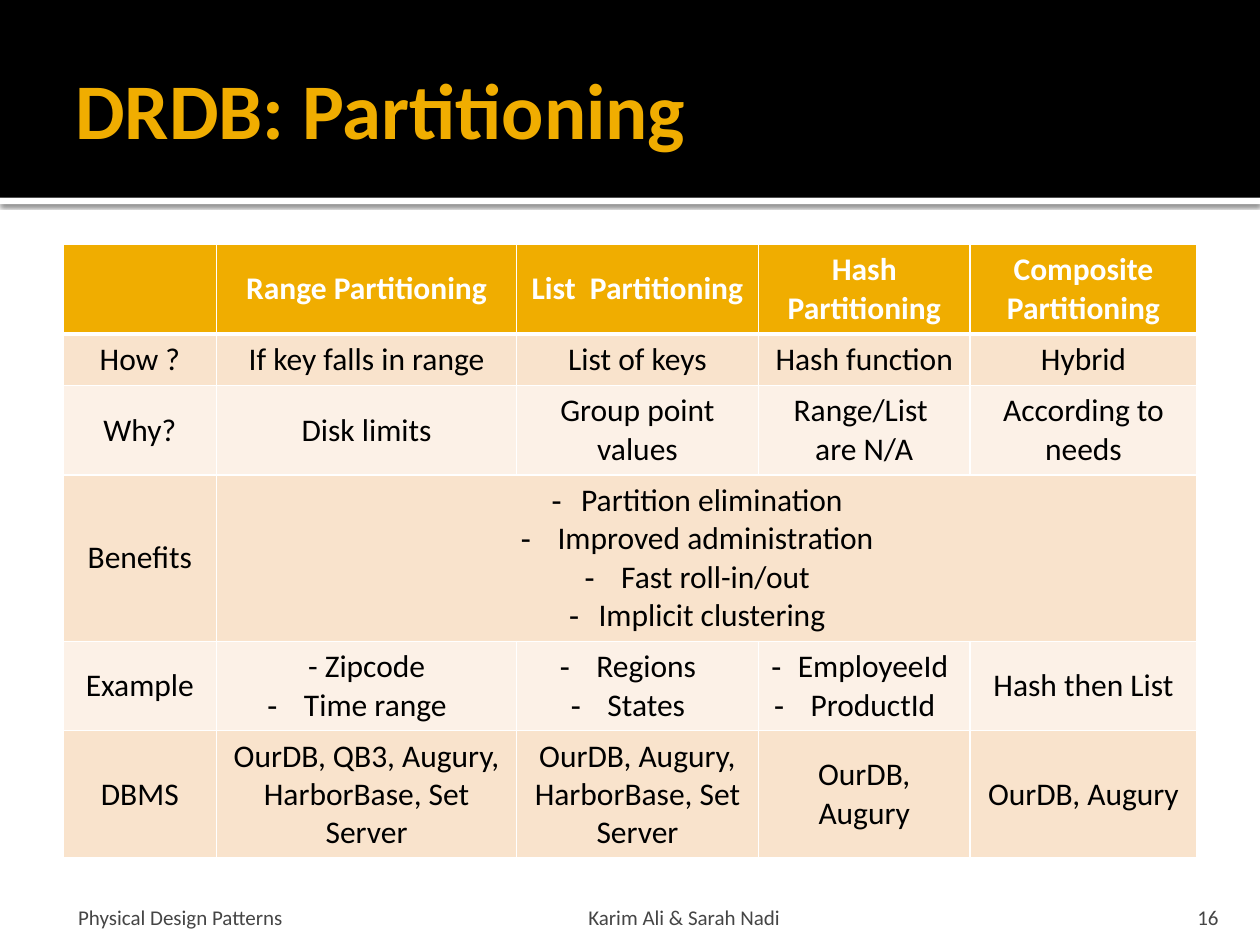
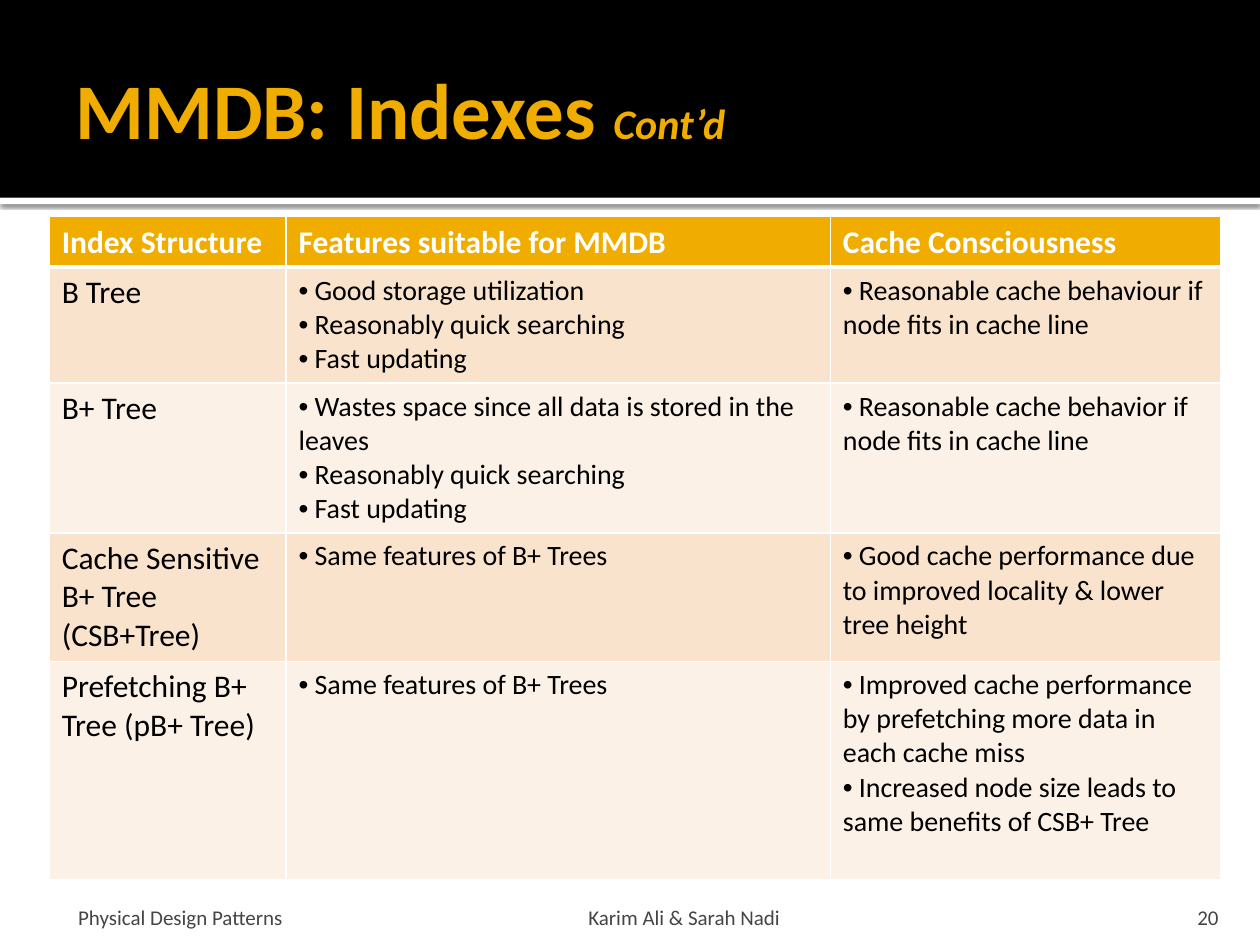
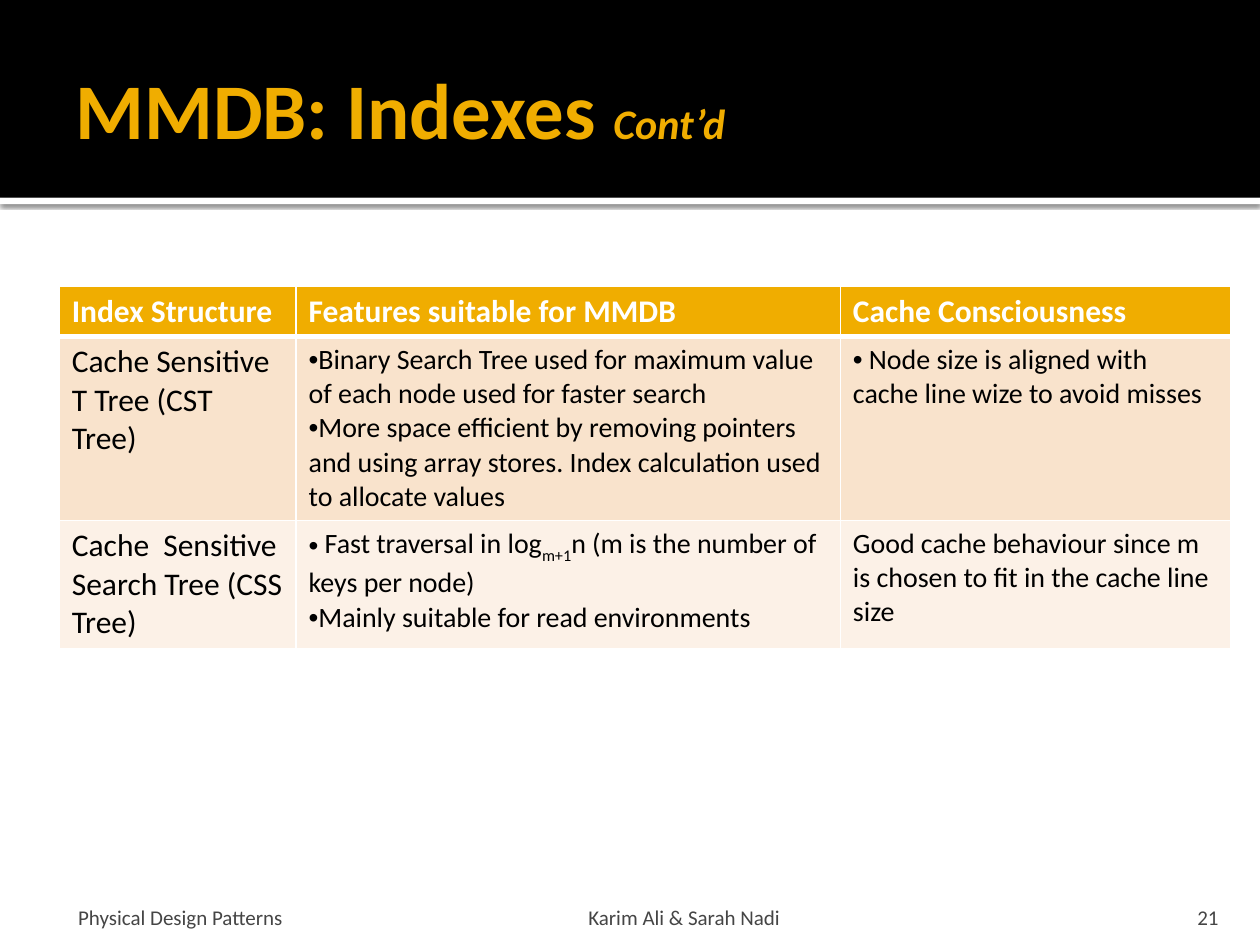
"""Build three database design slides with shared bands, titles and footers."""
from lxml.etree import SubElement as Sub
from pptx import Presentation
from pptx.dml.color import RGBColor
from pptx.enum.shapes import MSO_SHAPE as Shape
from pptx.enum.text import MSO_ANCHOR as Anchor, PP_ALIGN as Align
from pptx.oxml.ns import qn
from pptx.util import Inches, Pt

GOLD = RGBColor(0xF0, 0xAD, 0x00)
BLACK = RGBColor(0, 0, 0)
WHITE = RGBColor(0xFF, 0xFF, 0xFF)
GREY = RGBColor(0x45, 0x45, 0x45)
BANDS = [RGBColor(0xFC, 0xF1, 0xE7), RGBColor(0xF9, 0xE3, 0xCC)]
FONT, SIGN = "Calibri", "Arial"

CONTD = [("MMDB: Indexes ", {}), ("Cont’d", {"size": 24, "italic": True})]
HEAD = ["Index Structure", "Features suitable for MMDB", "Cache Consciousness"]
INDEX = {"cols": [1.88, 4.32, 3.1], "sizes": [18, 16, 16], "mark": "•",
         "align": Align.LEFT, "anchor": Anchor.TOP}

SLIDES = [
    {"title": "DRDB: Partitioning", "page": "16", "at": (0.5, 1.94),
     "cols": [1.22, 2.38, 1.92, 1.68, 1.8], "sizes": [18] * 5, "mark": "-",
     "align": Align.CENTER, "anchor": Anchor.MIDDLE,
     "high": [0.71, 0.41, 0.71, 1.32, 0.71, 1.01],
     "rows": [
         ["", "Range Partitioning", "List  Partitioning",
          "Hash Partitioning", "Composite Partitioning"],
         ["How ?", "If key falls in range", "List of keys",
          "Hash function", "Hybrid"],
         ["Why?", "Disk limits", "Group point values",
          "Range/List  are N/A", "According to needs"],
         ["Benefits", ["*Partition elimination", "* Improved administration",
                       "* Fast roll-in/out", "*Implicit clustering"]],
         ["Example", ["- Zipcode", "* Time range"], ["* Regions", "* States"],
          ["* EmployeeId", "* ProductId"], "Hash then List"],
         ["DBMS", "OurDB, QB3, Augury, HarborBase, Set Server",
          "OurDB, Augury, HarborBase, Set Server",
          "OurDB, Augury", "OurDB, Augury"]]},
    {**INDEX, "title": [CONTD], "page": "20", "at": (0.39, 1.72),
     "high": [0.4, 0.92, 1.19, 1.02, 1.73],
     "rows": [
         HEAD,
         ["B Tree",
          ["* Good storage utilization", "* Reasonably quick searching",
           "* Fast updating"],
          "* Reasonable cache behaviour if node fits in cache line"],
         ["B+ Tree",
          ["* Wastes space since all data is stored in the leaves",
           "* Reasonably quick searching", "* Fast updating"],
          "* Reasonable cache behavior if node fits in cache line"],
         ["Cache Sensitive B+ Tree (CSB+Tree)", "* Same features of B+ Trees",
          "* Good cache performance due to improved locality & lower "
          "tree height"],
         ["Prefetching B+ Tree (pB+ Tree)", "* Same features of B+ Trees",
          ["* Improved cache performance by prefetching more data in "
           "each cache miss",
           "* Increased node size leads to same benefits of CSB+ Tree"]]]},
    {**INDEX, "title": [CONTD], "page": "21", "at": (0.47, 2.27),
     "high": [0.4, 1.46, 1.02],
     "rows": [
         HEAD,
         ["Cache Sensitive T Tree (CST Tree)",
          ["*Binary Search Tree used for maximum value of each node used "
           "for faster search",
           "*More space efficient by removing pointers and using array "
           "stores. Index calculation used to allocate values"],
          "* Node size is aligned with cache line wize to avoid misses"],
         ["Cache  Sensitive Search Tree (CSS Tree)",
          [[("* Fast traversal in log", {}), ("m+1", {"base": -30}),
            ("n (m is the number of keys per node)", {})],
           "*Mainly suitable for read environments"],
          "Good cache behaviour since m is chosen to fit in the cache "
          "line size"]]},
]


def write(frame, text, size=18, color=BLACK, bold=False, align=Align.LEFT,
          mark="•"):
    """Fill a frame with paragraphs; a leading star makes a bullet."""
    for n, para in enumerate([text] if isinstance(text, str) else text):
        line = frame.add_paragraph() if n else frame.paragraphs[0]
        line.alignment = align
        runs = [(para, {})] if isinstance(para, str) else para
        if runs[0][0].startswith("*"):
            runs = [(runs[0][0][1:], runs[0][1])] + runs[1:]
            props = line._p.get_or_add_pPr()
            Sub(props, qn("a:buFont")).set("typeface", SIGN)
            Sub(props, qn("a:buChar")).set("char", mark)
        for words, look in runs:
            run = line.add_run()
            run.text = words
            font = run.font
            font.name, font.bold = FONT, bold
            font.size = Pt(look.get("size", size))
            font.italic = look.get("italic", False)
            font.color.rgb = color
            if "base" in look:
                run._r.get_or_add_rPr().set("baseline", str(look["base"] * 1000))


def label(slide, text, at, inset, anchor, **look):
    """Add a text box with insets in inches."""
    frame = slide.shapes.add_textbox(*map(Inches, at)).text_frame
    frame.word_wrap = True
    frame.vertical_anchor = anchor
    (frame.margin_left, frame.margin_top,
     frame.margin_right, frame.margin_bottom) = map(Inches, inset)
    write(frame, text, **look)


def band(slide, top, high, color):
    """Add a full-width bar."""
    bar = slide.shapes.add_shape(Shape.RECTANGLE, 0, Inches(top), Inches(10),
                                 Inches(high))
    bar.shadow.inherit = False
    bar.fill.solid()
    bar.fill.fore_color.rgb = color
    bar.line.fill.background()
    return bar


def dress(slide, title, page):
    """Draw the bands, title and footer."""
    rule = band(slide, 1.57, 0.05, WHITE)
    glow = Sub(rule._element.spPr.find(qn("a:effectLst")), qn("a:outerShdw"),
               blurRad=str(Pt(2.5)), dist=str(Pt(0.8)), dir="5400000",
               algn="tl", rotWithShape="0")
    tint = Sub(glow, qn("a:srgbClr"), val=str(BLACK))
    Sub(tint, qn("a:alpha"), val="60000")
    band(slide, 0, 1.57, BLACK)
    label(slide, title, (0.5, 0.17, 9, 1.37), (0.1, 0.05, 0.05, 0.05),
          Anchor.MIDDLE, size=45, color=GOLD, bold=True)
    for text, left, wide, pad, align in [
            ("Physical Design Patterns", 0.5, 2.33, (0.12, 0.05), Align.LEFT),
            ("Karim Ali & Sarah Nadi", 2.42, 6.02, (0.05, 0.05), Align.CENTER),
            (page, 8.97, 0.8, (0.1, 0.1), Align.RIGHT)]:
        label(slide, text, (left, 7.08, wide, 0.3), (pad[0], 0.05, pad[1], 0),
              Anchor.BOTTOM, size=12, color=GREY, align=align)


def edge(cell, row):
    """Give a cell white borders, thick under the header."""
    props = cell._tc.get_or_add_tcPr()
    for side in "LRTB":
        thick = (row, side) in [(0, "B"), (1, "T")]
        line = Sub(props, qn("a:ln" + side), w=str(Pt(3 if thick else 1)))
        Sub(Sub(line, qn("a:solidFill")), qn("a:srgbClr"), val=str(WHITE))


def grid(slide, data):
    """Draw the table; a short row spans its last cell to the edge."""
    rows, cols, high = data["rows"], data["cols"], data["high"]
    spot = [*data["at"], sum(cols), sum(high)]
    table = slide.shapes.add_table(len(rows), len(cols),
                                   *map(Inches, spot)).table
    for col, wide in zip(table.columns, cols):
        col.width = Inches(wide)
    for r, row in enumerate(rows):
        table.rows[r].height = Inches(high[r])
        for c in range(len(cols)):
            cell = table.cell(r, c)
            edge(cell, r)
            cell.fill.solid()
            cell.fill.fore_color.rgb = BANDS[r % 2] if r else GOLD
            cell.vertical_anchor = data["anchor"]
            if c < len(row) and row[c]:
                write(cell.text_frame, row[c], bold=not r,
                      size=data["sizes"][c] if r else 18,
                      color=BLACK if r else WHITE,
                      align=data["align"], mark=data["mark"])
        if len(row) < len(cols):
            table.cell(r, len(row) - 1).merge(table.cell(r, len(cols) - 1))


deck = Presentation()
deck.slide_width, deck.slide_height = Inches(10), Inches(7.5)
for data in SLIDES:
    slide = deck.slides.add_slide(deck.slide_layouts[6])
    dress(slide, data["title"], data["page"])
    grid(slide, data)
deck.save("out.pptx")
